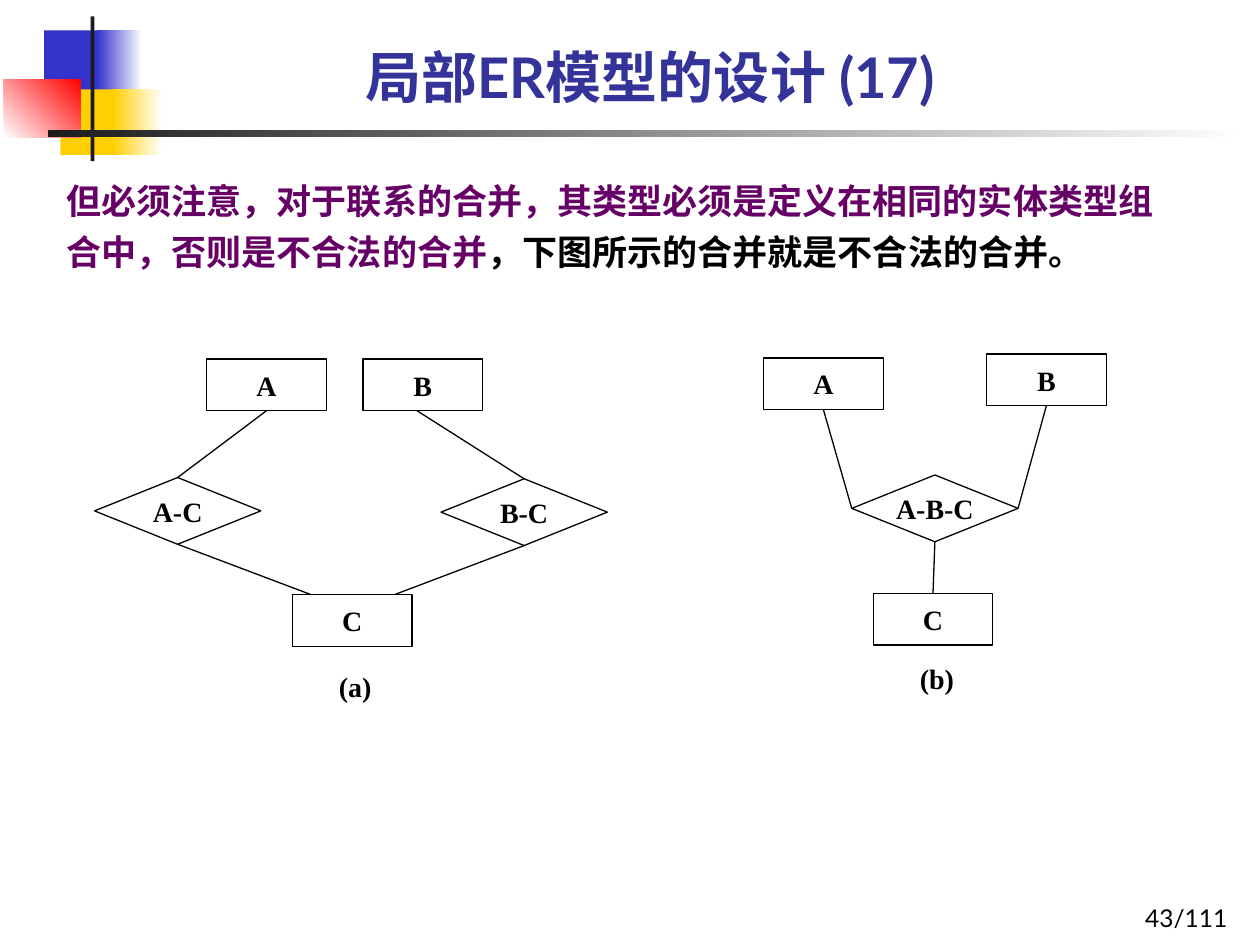
from lxml.etree import SubElement
from pptx import Presentation
from pptx.dml.color import RGBColor
from pptx.enum.shapes import MSO_CONNECTOR, MSO_SHAPE
from pptx.enum.text import MSO_ANCHOR as Anchor, PP_ALIGN as Align
from pptx.oxml.ns import qn
from pptx.util import Inches, Pt

TOP, LEFT, BOTTOM, RIGHT = range(4)


def color(value):
    return RGBColor.from_string(value)


class Slide:
    sans = "Lato"
    serif = "Times New Roman"
    ink = "000000"
    paper = "FFFFFF"
    stroke = Pt(0.75)
    node_size = {MSO_SHAPE.RECTANGLE: (0.95, 0.41), MSO_SHAPE.DIAMOND: (1.32, 0.53)}

    def __init__(self, deck):
        self.page = deck.slides.add_slide(deck.slide_layouts[6])
        self.shapes = self.page.shapes

    def shape(self, kind, area):
        box = self.shapes.add_shape(kind, *map(Inches, area))
        box.shadow.inherit = False
        return box

    def block(self, area, start, end=None, angle=0):
        box = self.shape(MSO_SHAPE.RECTANGLE, area)
        box.line.fill.background()
        if end is None:
            box.fill.solid()
            box.fill.fore_color.rgb = color(start)
            return
        box.fill.gradient()
        box.fill.gradient_angle = angle
        for stop, value in zip(box.fill.gradient_stops, (start, end)):
            stop.color.rgb = color(value)

    def set_text(self, box, runs, size, font, bold, align, anchor, inset=True):
        frame = box.text_frame
        frame.word_wrap = True
        frame.vertical_anchor = anchor
        if not inset:
            frame.margin_left = frame.margin_right = 0
            frame.margin_top = frame.margin_bottom = 0
        para = frame.paragraphs[0]
        para.alignment = align
        para.font.size = Pt(size)
        para.font.name = font
        para.font.bold = bold
        for text, value in runs:
            span = para.add_run()
            span.text = text
            span.font.color.rgb = color(value)
        return para

    def text(self, area, runs, size, bold=True, align=Align.LEFT, anchor=Anchor.TOP):
        box = self.shapes.add_textbox(*map(Inches, area))
        return self.set_text(box, runs, size, self.sans, bold, align, anchor)

    def caption(self, area, label):
        box = self.shapes.add_textbox(*map(Inches, area))
        self.set_text(box, [(label, self.ink)], 16, self.serif, True,
                      Align.JUSTIFY, Anchor.MIDDLE, inset=False)

    def node(self, kind, left, top, label):
        box = self.shape(kind, (left, top, *self.node_size[kind]))
        box.fill.solid()
        box.fill.fore_color.rgb = color(self.paper)
        box.line.color.rgb = color(self.ink)
        box.line.width = self.stroke
        para = self.set_text(box, [(label, self.ink)], 16, self.serif, True,
                             Align.CENTER, Anchor.MIDDLE, inset=False)
        if kind == MSO_SHAPE.RECTANGLE:
            para.space_before = Pt(1.5)
        return box

    def entity(self, left, top, label):
        return self.node(MSO_SHAPE.RECTANGLE, left, top, label)

    def relation(self, left, top, label):
        return self.node(MSO_SHAPE.DIAMOND, left, top, label)

    def link(self, start, end, begin_at=None, end_at=None):
        line = self.shapes.add_connector(
            MSO_CONNECTOR.STRAIGHT, *map(Inches, (*start, *end)))
        line.line.color.rgb = color(self.ink)
        line.line.width = self.stroke
        SubElement(line._element.spPr, qn("a:effectLst"))
        if begin_at:
            line.begin_connect(*begin_at)
        if end_at:
            line.end_connect(*end_at)


def draw_header(slide):
    slide.block((0.35, 0.24, 0.48, 0.52), "3333CC")
    slide.block((0.77, 0.24, 0.36, 0.52), "3333CC", "FFFFFF")
    slide.block((0.48, 0.71, 0.46, 0.52), "FFCF01")
    slide.block((0.89, 0.71, 0.4, 0.52), "FFCF01", "FFFFFF")
    slide.block((0.03, 0.63, 0.61, 0.46), "FFFFFF", "FF0000", 45)
    slide.block((0.72, 0.13, 0.03, 1.15), "1C1C1C")
    slide.block((0.38, 1.03, 9.51, 0.06), "1C1C1C", "FFFFFF")
    slide.text((0.9, 0.05, 8.52, 0.87), [("局部ER模型的设计 (17)", "333399")], 32,
               align=Align.CENTER, anchor=Anchor.BOTTOM)


def draw_text(slide):
    rule = "但必须注意，对于联系的合并，其类型必须是定义在相同的实体类型组合中，否则是不合法的合并"
    example = "，下图所示的合并就是不合法的合并。"
    para = slide.text((0.43, 1.31, 9.06, 1.02),
                      [(rule, "660066"), (example, slide.ink)], 20)
    para.line_spacing = 1.2
    slide.text((7.76, 6.95, 2.08, 0.5), [("43/111", slide.ink)], 14, bold=False,
               align=Align.RIGHT, anchor=Anchor.BOTTOM)


def draw_separate(slide):
    entity_a = slide.entity(1.64, 2.85, "A")
    slide.entity(2.88, 2.85, "B")
    slide.entity(2.32, 4.72, "C")
    relation_ac = slide.relation(0.75, 3.79, "A-C")
    relation_bc = slide.relation(3.5, 3.8, "B-C")
    slide.link((2.14, 3.26), (1.39, 3.79), (entity_a, BOTTOM), (relation_ac, TOP))
    slide.link((3.31, 3.26), (4.15, 3.79), end_at=(relation_bc, TOP))
    slide.link((1.4, 4.31), (2.47, 4.72), (relation_ac, BOTTOM))
    slide.link((4.2, 4.31), (3.13, 4.72), (relation_bc, BOTTOM))
    slide.caption((2.69, 5.26, 0.46, 0.38), "(a)")


def draw_merged(slide):
    entity_a = slide.entity(6.06, 2.84, "A")
    entity_b = slide.entity(7.83, 2.81, "B")
    entity_c = slide.entity(6.93, 4.71, "C")
    relation = slide.relation(6.76, 3.77, "A-B-C")
    slide.link((6.53, 3.24), (6.76, 4.05), (entity_a, BOTTOM), (relation, LEFT))
    slide.link((8.31, 3.23), (8.08, 4.04), (entity_b, BOTTOM), (relation, RIGHT))
    slide.link((7.4, 4.27), (7.4, 4.7), (relation, BOTTOM), (entity_c, TOP))
    slide.caption((7.3, 5.22, 0.47, 0.32), "(b)")


def main():
    deck = Presentation()
    deck.slide_width = Inches(10)
    deck.slide_height = Inches(7.5)
    slide = Slide(deck)
    draw_header(slide)
    draw_text(slide)
    draw_separate(slide)
    draw_merged(slide)
    deck.save("out.pptx")


if __name__ == "__main__":
    main()
